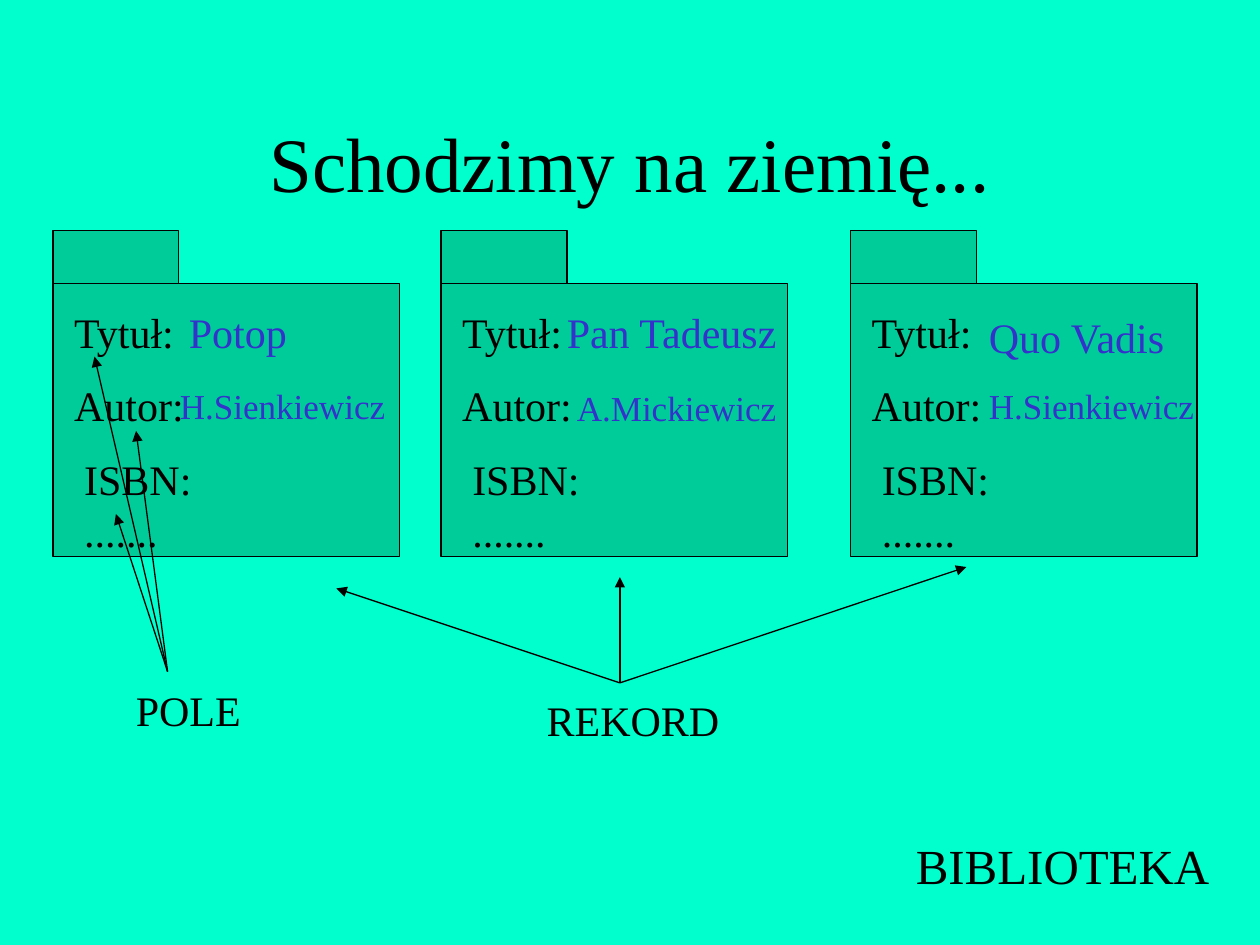
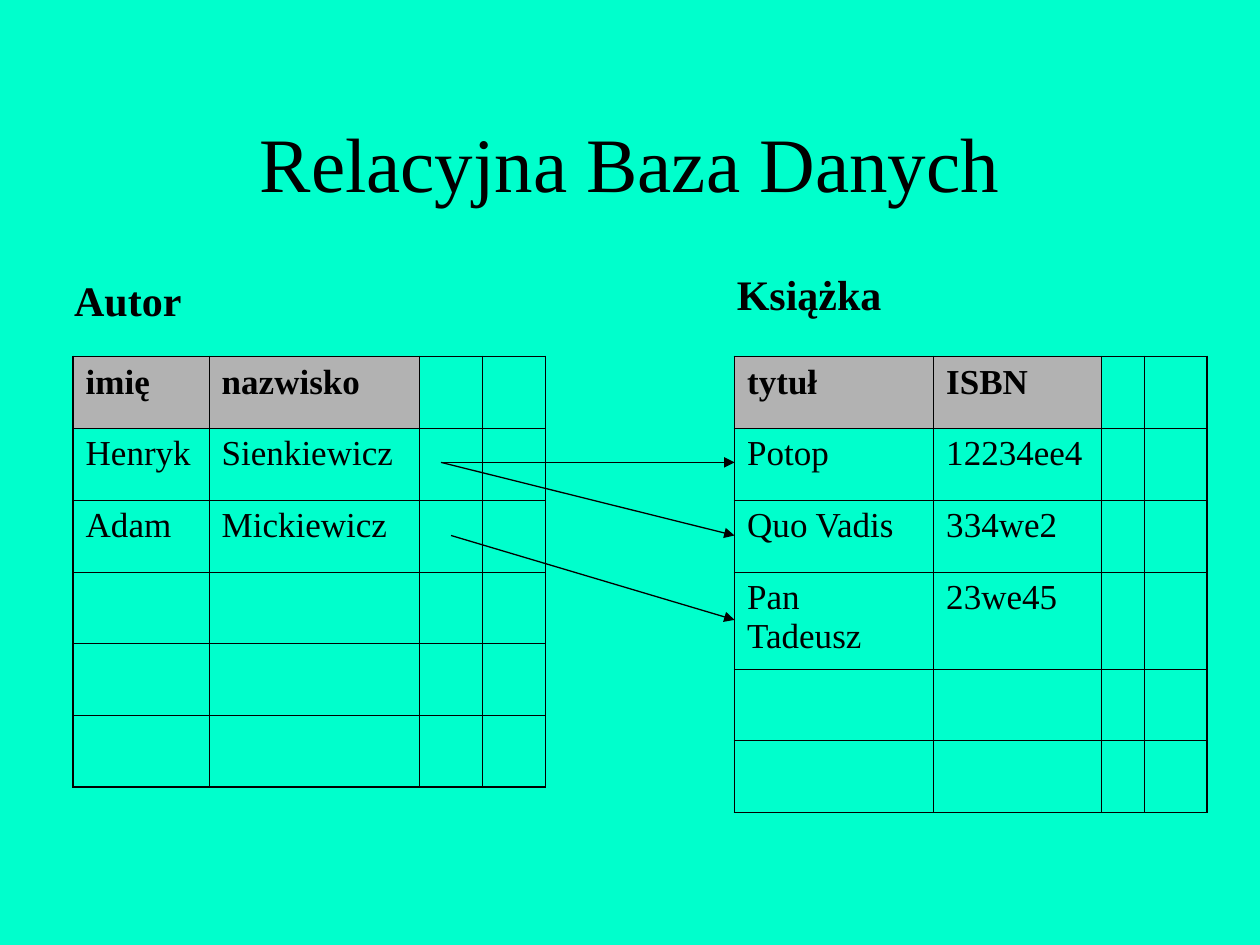
from lxml import etree
from pptx import Presentation
from pptx.dml.color import RGBColor
from pptx.enum.shapes import MSO_CONNECTOR, MSO_SHAPE
from pptx.enum.text import MSO_ANCHOR, PP_ALIGN
from pptx.oxml.ns import qn
from pptx.util import Inches, Pt

RECT = MSO_SHAPE.RECTANGLE
STRAIGHT = MSO_CONNECTOR.STRAIGHT
CENTER = PP_ALIGN.CENTER
MIDDLE = MSO_ANCHOR.MIDDLE

FONT = "Times New Roman"
COLORS = {
    "background": "00FFCC",
    "folder": "00CC99",
    "text": "000000",
    "line": "000000",
    "value": "3333CC",
    "header": "B2B2B2",
}


def rgb(name):
    return RGBColor.from_string(COLORS[name])


class Deck:
    """Shared style plus the slide being filled."""

    def __init__(self):
        self.prs = Presentation()
        self.prs.slide_width, self.prs.slide_height = Inches(10), Inches(7.5)
        self.s = None

    def slide(self, title):
        self.s = self.prs.slides.add_slide(self.prs.slide_layouts[6])
        fill = self.s.background.fill
        fill.solid()
        fill.fore_color.rgb = rgb("background")
        tf = self.text(title, 0.75, 0.66, 8.5, 1.25, size=44)
        tf.word_wrap = True
        tf.vertical_anchor = MIDDLE
        tf.paragraphs[0].alignment = CENTER

    def style(self, p, size, color="text", bold=False):
        p.font.name, p.font.size, p.font.bold = FONT, Pt(size), bold
        p.font.color.rgb = rgb(color)

    def text(self, text, x, y, w, h=0.5, size=24, color="text", bold=False):
        sp = self.s.shapes.add_textbox(Inches(x), Inches(y), Inches(w), Inches(h))
        tf = sp.text_frame
        tf.word_wrap = False
        tf.text = text
        self.style(tf.paragraphs[0], size, color, bold)
        return tf

    def box(self, x, y, w, h):
        sp = self.s.shapes.add_shape(RECT, Inches(x), Inches(y), Inches(w), Inches(h))
        sp.shadow.inherit = False
        sp.fill.solid()
        sp.fill.fore_color.rgb = rgb("folder")
        sp.line.color.rgb = rgb("line")
        sp.line.width = Pt(0.75)

    def arrow(self, start, end):
        points = [Inches(v) for v in (*start, *end)]
        cx = self.s.shapes.add_connector(STRAIGHT, *points)
        cx.line.color.rgb = rgb("line")
        cx.line.width = Pt(0.75)
        etree.SubElement(cx.line._get_or_add_ln(), qn("a:tailEnd"), type="triangle")
        etree.SubElement(cx._element.spPr, qn("a:effectLst"))

    def folder(self, x):
        self.box(x, 2.25, 2.75, 2.17)
        self.box(x, 1.83, 1, 0.42)
        for label, dx, y, w in FIELDS:
            self.text(label, x + dx, y, w)

    def table(self, x, y, col_widths, row_heights, rows):
        n_rows, n_cols = len(row_heights), len(col_widths)
        tbl = self.s.shapes.add_table(
            n_rows, n_cols, Inches(x), Inches(y),
            Inches(sum(col_widths)), Inches(sum(row_heights))).table
        tbl.first_row = tbl.horz_banding = False
        for col, w in zip(tbl.columns, col_widths):
            col.width = Inches(w)
        for row, h in zip(tbl.rows, row_heights):
            row.height = Inches(h)
        for i in range(n_rows):
            for j in range(n_cols):
                cell = tbl.cell(i, j)
                filled = i < len(rows) and j < len(rows[i])
                cell.text = rows[i][j] if filled else ""
                p = cell.text_frame.paragraphs[0]
                p.space_before = Pt(5)
                self.style(p, 20, bold=i == 0)
                if filled and i == 0:
                    cell.fill.solid()
                    cell.fill.fore_color.rgb = rgb("header")
                else:
                    cell.fill.background()
                self.borders(cell, L=j == 0, R=j == n_cols - 1,
                             T=i == 0, B=i == n_rows - 1)

    def borders(self, cell, **outer_sides):
        """Outer sides are thicker; borders come before the fill."""
        tc_pr = cell._tc.get_or_add_tcPr()
        for k, (side, outer) in enumerate(outer_sides.items()):
            ln = etree.Element(qn(f"a:ln{side}"), w=str(Pt(1.08 if outer else 0.45)))
            fill = etree.SubElement(ln, qn("a:solidFill"))
            etree.SubElement(fill, qn("a:srgbClr"), val=COLORS["line"])
            tc_pr.insert(k, ln)


# Folder labels: text, offset from the folder's left edge, top, width
FIELDS = [
    ("Tytuł:", 0.07, 2.38, 1.05),
    ("Autor:", 0.07, 2.96, 1.1),
    ("ISBN:", 0.15, 3.55, 1.1),
    (".......", 0.15, 3.96, 0.85),
]
ROW = 0.57


def library_slide(d):
    d.slide("Schodzimy na ziemię...")
    for x in (0.42, 3.5, 6.75):
        d.folder(x)
    d.text("BIBLIOTEKA", 7.17, 6.58, 2.6, 0.57, size=28)

    # Callouts for fields and records
    d.text("POLE", 0.98, 5.38, 1.1)
    for end in ((0.92, 4.08), (1.08, 3.42), (0.75, 2.83)):
        d.arrow((1.33, 5.33), end)
    d.text("REKORD", 4.24, 5.46, 1.65)
    for end in ((2.67, 4.67), (4.92, 4.58), (7.67, 4.5)):
        d.arrow((4.92, 5.42), end)

    # Field values
    for title, x, y, w in (("Potop", 1.4, 2.38, 1.05),
                           ("Pan Tadeusz", 4.4, 2.38, 1.95),
                           ("Quo Vadis", 7.75, 2.42, 1.7)):
        d.text(title, x, y, w, color="value")
    for author, x, y in (("H.Sienkiewicz", 1.33, 3),
                         ("A.Mickiewicz", 4.48, 3.02),
                         ("H.Sienkiewicz", 7.75, 3)):
        d.text(author, x, y, 1.9, 0.44, size=20, color="value")


def relations_slide(d):
    d.slide("Relacyjna Baza Danych")

    # Authors
    d.text("Autor", 0.49, 2.13, 1.1, bold=True)
    d.table(0.58, 2.83, [1.08, 1.67, 0.5, 0.5], [ROW] * 6, [
        ("imię", "nazwisko"),
        ("Henryk", "Sienkiewicz"),
        ("Adam", "Mickiewicz"),
    ])

    # Books
    d.text("Książka", 5.75, 2.08, 1.4, bold=True)
    d.table(5.83, 2.83, [1.58, 1.33, 0.34, 0.5], [ROW] * 3 + [0.77] + [ROW] * 2, [
        ("tytuł", "ISBN"),
        ("Potop", "12234ee4"),
        ("Quo Vadis", "334we2"),
        ("Pan Tadeusz", "23we45"),
    ])

    # Author to book relations
    for start, end_y in (((3.5, 3.67), 3.67), ((3.5, 3.67), 4.25), ((3.58, 4.25), 4.92)):
        d.arrow(start, (5.83, end_y))


def main():
    d = Deck()
    library_slide(d)
    relations_slide(d)
    d.prs.save("out.pptx")


if __name__ == "__main__":
    main()
